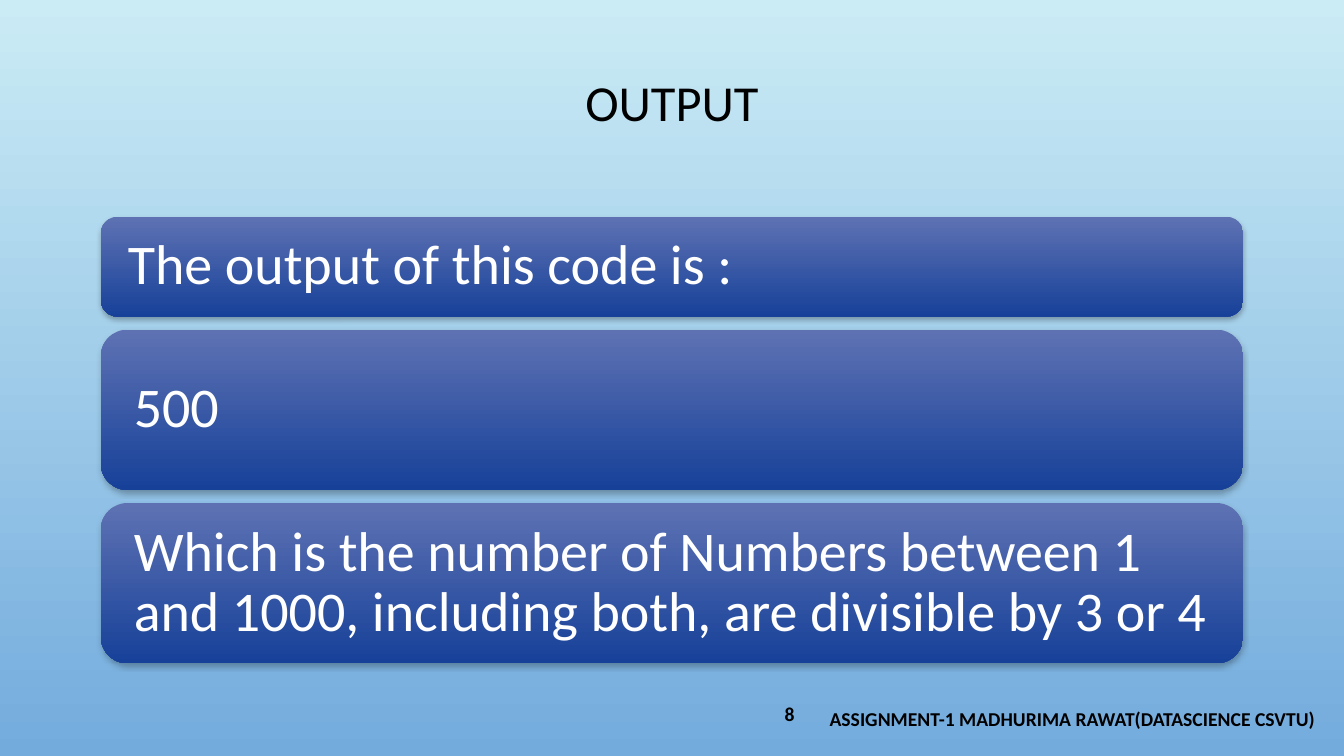
from lxml import etree
from pptx import Presentation
from pptx.dml.color import RGBColor
from pptx.enum.shapes import MSO_SHAPE
from pptx.enum.text import MSO_ANCHOR, PP_ALIGN
from pptx.oxml.ns import qn
from pptx.util import Inches, Pt

ROUNDED = MSO_SHAPE.ROUNDED_RECTANGLE
MIDDLE = MSO_ANCHOR.MIDDLE
LEFT, CENTER, RIGHT = PP_ALIGN.LEFT, PP_ALIGN.CENTER, PP_ALIGN.RIGHT

# Content
FONT = "Calibri"
BLACK, WHITE = "000000", "FFFFFF"
SKY = ("CBECF5", "73ABDD")
BAR_BLUE = ("5E72B3", "174199")

# text, (left, top, width, height), size, bold, alignment, line spacing
LABELS = [
    ("OUTPUT", (1, 0.17, 11.33, 1.75), 36, False, CENTER, 0.9),
    ("ASSIGNMENT-1 MADHURIMA RAWAT(DATASCIENCE CSVTU)",
     (8.13, 6.93, 7.3, 0.4), 14, True, LEFT, 1.0),
    ("8", (7.14, 6.88, 0.84, 0.4), 14, True, RIGHT, 1.0),
]

# text, height, side inset
BARS = [
    ("The output of this code is :", 0.99, 0.22),
    ("500", 1.59, 0.25),
    ("Which is the number of Numbers between 1 and 1000, "
     "including both, are divisible by 3 or 4", 1.59, 0.25),
]
BAR_LEFT, BAR_TOP, BAR_WIDTH, BAR_GAP = 1, 2.15, 11.33, 0.13


def color(hex_code):
    return RGBColor.from_string(hex_code)


def fill_downward(fill, hex_codes):
    fill.gradient()
    fill.gradient_angle = 270
    for stop, hex_code in zip(fill.gradient_stops, hex_codes):
        stop.color.rgb = color(hex_code)


def write(frame, text, size, hex_code, bold, alignment, line_spacing):
    frame.word_wrap = True
    frame.vertical_anchor = MIDDLE
    paragraph = frame.paragraphs[0]
    paragraph.text = text
    paragraph.alignment = alignment
    paragraph.line_spacing = line_spacing
    font = paragraph.font
    font.name, font.size, font.bold = FONT, Pt(size), bold
    font.color.rgb = color(hex_code)


def add_soft_shadow(shape):
    shape.shadow.inherit = False
    effects = shape._element.spPr.find(qn("a:effectLst"))
    shadow = etree.SubElement(
        effects, qn("a:outerShdw"), blurRad=str(Pt(4)), dist=str(Pt(2)),
        dir="5400000", algn="ctr", rotWithShape="0")
    tint = etree.SubElement(shadow, qn("a:srgbClr"), val=BLACK)
    etree.SubElement(tint, qn("a:alpha"), val="28000")


# Slide and background
deck = Presentation()
deck.slide_width, deck.slide_height = Inches(13.33), Inches(7.5)
slide = deck.slides.add_slide(deck.slide_layouts[6])
fill_downward(slide.background.fill, SKY)

# Title, footer and page number
for text, place, size, bold, alignment, line_spacing in LABELS:
    label = slide.shapes.add_textbox(*map(Inches, place))
    write(label.text_frame, text, size, BLACK, bold, alignment, line_spacing)

# Stacked bars
top = BAR_TOP
for text, height, inset in BARS:
    bar = slide.shapes.add_shape(
        ROUNDED, *map(Inches, (BAR_LEFT, top, BAR_WIDTH, height)))
    fill_downward(bar.fill, BAR_BLUE)
    bar.line.fill.background()
    add_soft_shadow(bar)
    frame = bar.text_frame
    frame.margin_left = frame.margin_right = Inches(inset)
    write(frame, text, 40, WHITE, False, LEFT, 0.9)
    top += height + BAR_GAP

deck.save("out.pptx")
